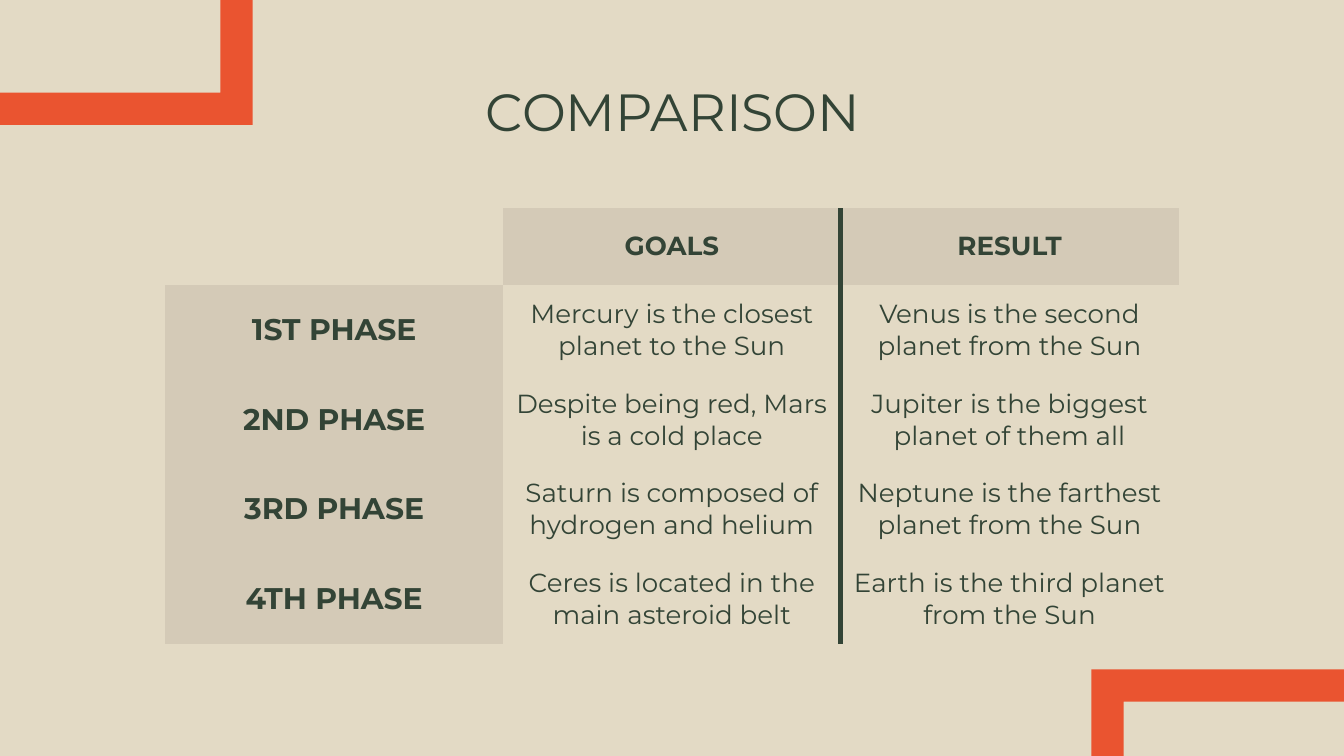
from dataclasses import dataclass

from lxml import etree
from pptx import Presentation
from pptx.dml.color import RGBColor
from pptx.enum import text
from pptx.oxml.ns import qn
from pptx.util import Inches, Pt

SLIDE_W, SLIDE_H = 10, 5.625
NO_STYLE_NO_GRID = "{2D5ABB26-0587-4C30-8999-92F81FD0307C}"


@dataclass(frozen=True)
class Theme:
    font: str = "Montserrat"
    background: str = "E3DAC5"
    band: str = "D4CAB7"
    ink: str = "334436"
    accent: str = "EA5430"
    title_size: int = 28
    phase_size: int = 16
    body_size: int = 14
    rule_width: int = 3


@dataclass(frozen=True)
class Frame:
    """Hollow rectangle that bleeds off a corner of the slide."""
    left: float
    top: float
    width: float = 4.08
    height: float = 4.38
    band: float = 0.24


@dataclass(frozen=True)
class Phase:
    name: str
    goal: str
    result: str


THEME = Theme()
FRAMES = (Frame(8.12, 4.98), Frame(-2.2, -3.45))
HEADINGS = ("", "GOALS", "RESULT")
PHASES = (
    Phase("1ST PHASE", "Mercury is the closest planet to the Sun",
          "Venus is the second planet from the Sun"),
    Phase("2ND PHASE", "Despite being red, Mars is a cold place",
          "Jupiter is the biggest planet of them all"),
    Phase("3RD PHASE", "Saturn is composed of hydrogen and helium",
          "Neptune is the farthest planet from the Sun"),
    Phase("4TH PHASE", "Ceres is located in the main asteroid belt",
          "Earth is the third planet from the Sun"),
)


def paint(fill, color: str) -> None:
    fill.solid()
    fill.fore_color.rgb = RGBColor.from_string(color)


def write(paragraph, words: str, size: int, bold: bool = False) -> None:
    paragraph.alignment = text.PP_ALIGN.CENTER
    run = paragraph.add_run()
    run.text = words
    run.font.name = THEME.font
    run.font.size = Pt(size)
    run.font.bold = bold
    run.font.color.rgb = RGBColor.from_string(THEME.ink)


def set_margins(box, side: float = 0.1) -> None:
    box.margin_left = box.margin_right = Inches(side)
    box.margin_top = box.margin_bottom = Inches(0.1)


def corners(frame: Frame, inset: float) -> list[tuple[int, int]]:
    left, right = frame.left + inset, frame.left + frame.width - inset
    top, bottom = frame.top + inset, frame.top + frame.height - inset
    return [(Inches(x), Inches(y)) for x, y in
            ((left, top), (right, top), (right, bottom), (left, bottom))]


def draw_frame(slide, frame: Frame) -> None:
    outer = corners(frame, 0)
    hole = corners(frame, frame.band)[::-1]
    builder = slide.shapes.build_freeform(*outer[0])
    builder.add_line_segments(outer[1:], close=True)
    builder.move_to(*hole[0])
    builder.add_line_segments(hole[1:], close=True)
    outline = builder.convert_to_shape()
    outline.shadow.inherit = False
    paint(outline.fill, THEME.accent)
    outline.line.fill.background()


def draw_title(slide, words: str) -> None:
    title = slide.shapes.add_textbox(Inches(0.79), Inches(0.49),
                                     Inches(8.43), Inches(0.63))
    body = title.text_frame
    body.word_wrap = True
    set_margins(body)
    write(body.paragraphs[0], words, THEME.title_size)


def add_border(cell, side: str) -> None:
    """Rule one side of a cell: lnL is left, lnR is right."""
    border = etree.Element(qn(f"a:{side}"), w=str(Pt(THEME.rule_width)))
    solid = etree.SubElement(border, qn("a:solidFill"))
    etree.SubElement(solid, qn("a:srgbClr"), val=THEME.ink)
    cell._tc.get_or_add_tcPr().insert(0, border)


def fill_cell(cell, words: str, row: int, column: int) -> None:
    set_margins(cell, side=0.09)
    cell.vertical_anchor = text.MSO_ANCHOR.MIDDLE
    if not words:
        cell.fill.background()
        return
    is_heading = row == 0 or column == 0
    paint(cell.fill, THEME.band if is_heading else THEME.background)
    size = THEME.phase_size if column == 0 else THEME.body_size
    write(cell.text_frame.paragraphs[0], words, size, is_heading)
    if column > 0:
        add_border(cell, "lnR" if column == 1 else "lnL")


def draw_comparison(slide) -> None:
    """Draw the table; two-line rows grow to fit their text."""
    rows = [HEADINGS] + [(p.name, p.goal, p.result) for p in PHASES]
    holder = slide.shapes.add_table(len(rows), len(HEADINGS), Inches(1.23),
                                    Inches(1.55), Inches(7.54), Inches(3.24))
    table = holder.table
    table.first_row = table.horz_banding = False
    table._tbl.tblPr.find(qn("a:tableStyleId")).text = NO_STYLE_NO_GRID
    for column in table.columns:
        column.width = Inches(7.54 / len(HEADINGS))
    for r, words in enumerate(rows):
        table.rows[r].height = Inches(0.57 if r == 0 else 0.6)
        for c, entry in enumerate(words):
            fill_cell(table.cell(r, c), entry, r, c)
    holder.height = Inches(3.24)


def main() -> None:
    deck = Presentation()
    deck.slide_width, deck.slide_height = Inches(SLIDE_W), Inches(SLIDE_H)
    slide = deck.slides.add_slide(deck.slide_layouts[6])
    paint(slide.background.fill, THEME.background)
    for frame in FRAMES:
        draw_frame(slide, frame)
    draw_title(slide, "COMPARISON")
    draw_comparison(slide)
    deck.save("out.pptx")


if __name__ == "__main__":
    main()
